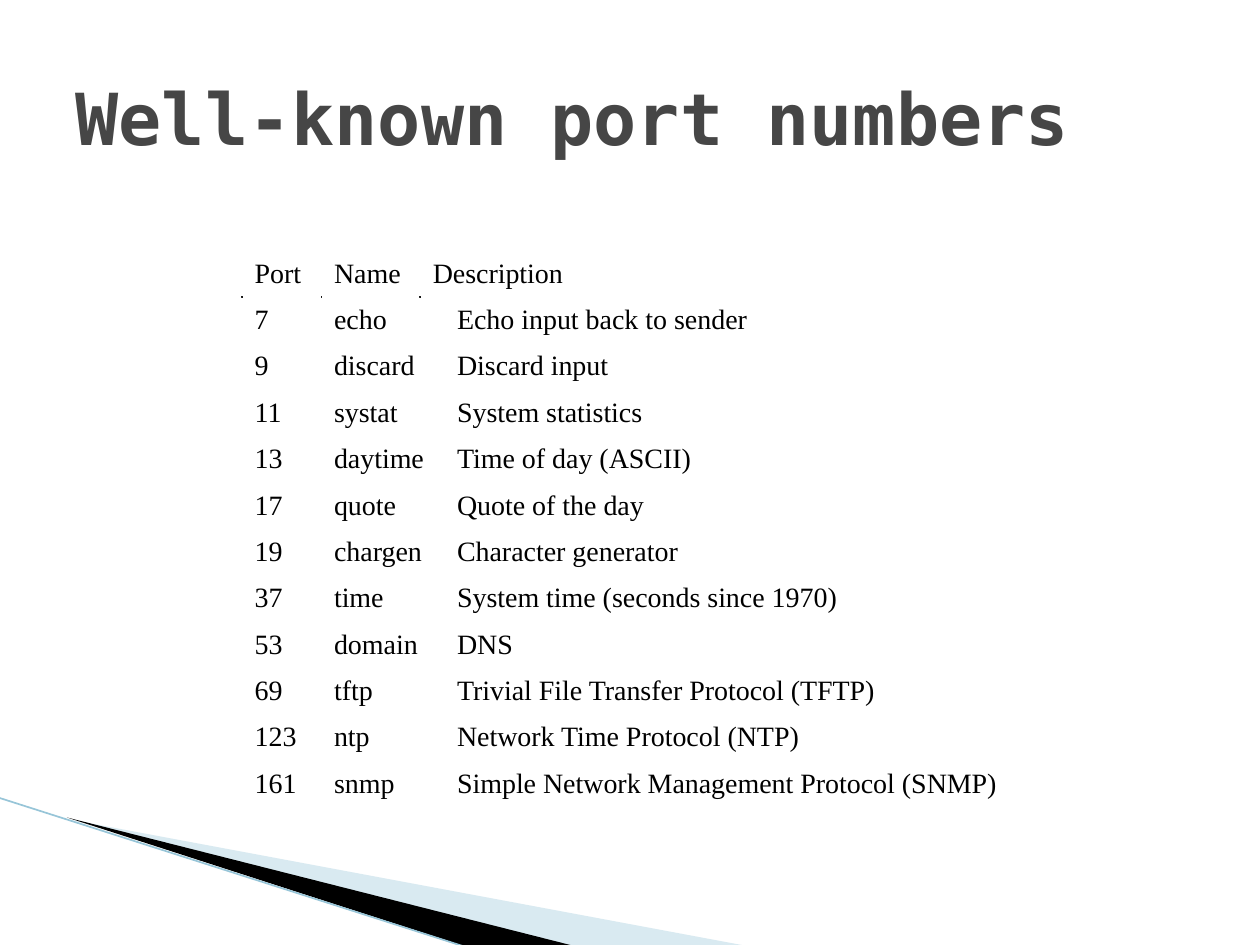
from lxml import etree
from pptx import Presentation
from pptx.dml.color import RGBColor
from pptx.enum.shapes import MSO_CONNECTOR, MSO_SHAPE
from pptx.enum.text import MSO_ANCHOR, PP_ALIGN
from pptx.oxml.ns import qn
from pptx.util import Cm, Pt

STRAIGHT = MSO_CONNECTOR.STRAIGHT
RECTANGLE = MSO_SHAPE.RECTANGLE
MIDDLE = MSO_ANCHOR.MIDDLE
LEFT = PP_ALIGN.LEFT

BLACK = RGBColor(0x00, 0x00, 0x00)
TITLE_GRAY = RGBColor(0x46, 0x46, 0x46)
PALE_BLUE = RGBColor(0xA0, 0xCB, 0xDC)
EDGE_BLUE = RGBColor(0x97, 0xC5, 0xD8)

PORTS = [
    ("Port", "Name", "Description"),
    ("7", "echo", "Echo input back to sender"),
    ("9", "discard", "Discard input"),
    ("11", "systat", "System statistics"),
    ("13", "daytime", "Time of day (ASCII)"),
    ("17", "quote", "Quote of the day"),
    ("19", "chargen", "Character generator"),
    ("37", "time", "System time (seconds since 1970)"),
    ("53", "domain", "DNS"),
    ("69", "tftp", "Trivial File Transfer Protocol (TFTP)"),
    ("123", "ntp", "Network Time Protocol (NTP)"),
    ("161", "snmp", "Simple Network Management Protocol (SNMP)"),
]
COLUMN_WIDTHS = [1.6, 1.99, 0.49, 11.58]
TABLE_LEFT, TABLE_TOP, TABLE_HEIGHT = 4.88, 5.05, 11.22


def add_wedge(slide, points, color):
    corners = [(Cm(x), Cm(y)) for x, y in points]
    builder = slide.shapes.build_freeform(*corners[0], scale=1.0)
    builder.add_line_segments(corners[1:], close=True)
    wedge = builder.convert_to_shape()
    wedge.shadow.inherit = False
    wedge.fill.solid()
    wedge.fill.fore_color.rgb = color
    wedge.line.fill.background()
    return wedge


presentation = Presentation()
presentation.slide_width = Cm(25.4)
presentation.slide_height = Cm(19.05)
slide = presentation.slides.add_slide(presentation.slide_layouts[5])

pale_wedge = add_wedge(slide, [(1.4, 16.52), (15.11, 19.08), (11.58, 19.08)], PALE_BLUE)
pale_color = pale_wedge.fill._xPr.find(qn("a:solidFill"))[0]
etree.SubElement(pale_color, qn("a:alpha"), val="40000")
add_wedge(slide, [(1.35, 16.48), (11.61, 19.08), (9.45, 19.1)], BLACK)

edge = slide.shapes.add_connector(STRAIGHT, Cm(-0.03), Cm(16.08), Cm(9.42), Cm(19.1))
edge.line.color.rgb = EDGE_BLUE
edge.line.width = Pt(0.95)
etree.SubElement(edge._element.spPr, qn("a:effectLst"))

title = slide.shapes.title
title.left, title.top, title.width, title.height = Cm(1.27), Cm(0.76), Cm(22.86), Cm(3.18)
title.text_frame.text = "Well-known port numbers"
title.text_frame.vertical_anchor = MIDDLE
paragraph = title.text_frame.paragraphs[0]
paragraph.alignment = LEFT
paragraph.font.name = "DejaVu Sans Mono"
paragraph.font.size = Pt(41)
paragraph.font.bold = True
paragraph.font.color.rgb = TITLE_GRAY

table = slide.shapes.add_table(
    len(PORTS), len(COLUMN_WIDTHS), Cm(TABLE_LEFT), Cm(TABLE_TOP),
    Cm(sum(COLUMN_WIDTHS)), Cm(TABLE_HEIGHT),
).table
table.first_row = False
table.horz_banding = False
for column, width in zip(table.columns, COLUMN_WIDTHS):
    column.width = Cm(width)

for row, texts in enumerate(PORTS):
    description_column = 2 if row == 0 else 3
    merge_start = description_column if row == 0 else 1
    table.cell(row, merge_start).merge(table.cell(row, merge_start + 1))
    for column in range(len(COLUMN_WIDTHS)):
        table.cell(row, column).fill.background()
    for column, text in zip((0, 1, description_column), texts):
        cell = table.cell(row, column)
        cell.text = text
        cell.vertical_anchor = MIDDLE
        paragraph = cell.text_frame.paragraphs[0]
        paragraph.font.name = "Times New Roman"
        paragraph.font.size = Pt(16)
        paragraph.font.color.rgb = BLACK

header_bottom = TABLE_TOP + TABLE_HEIGHT / len(PORTS)
for column in range(3):
    dot_left = TABLE_LEFT + sum(COLUMN_WIDTHS[:column])
    dot = slide.shapes.add_shape(RECTANGLE, Cm(dot_left), Cm(header_bottom), Cm(0.01), Cm(0.01))
    dot.shadow.inherit = False
    dot.fill.solid()
    dot.fill.fore_color.rgb = BLACK
    dot.line.color.rgb = BLACK
    dot.line.width = Pt(0.75)

presentation.save("out.pptx")
